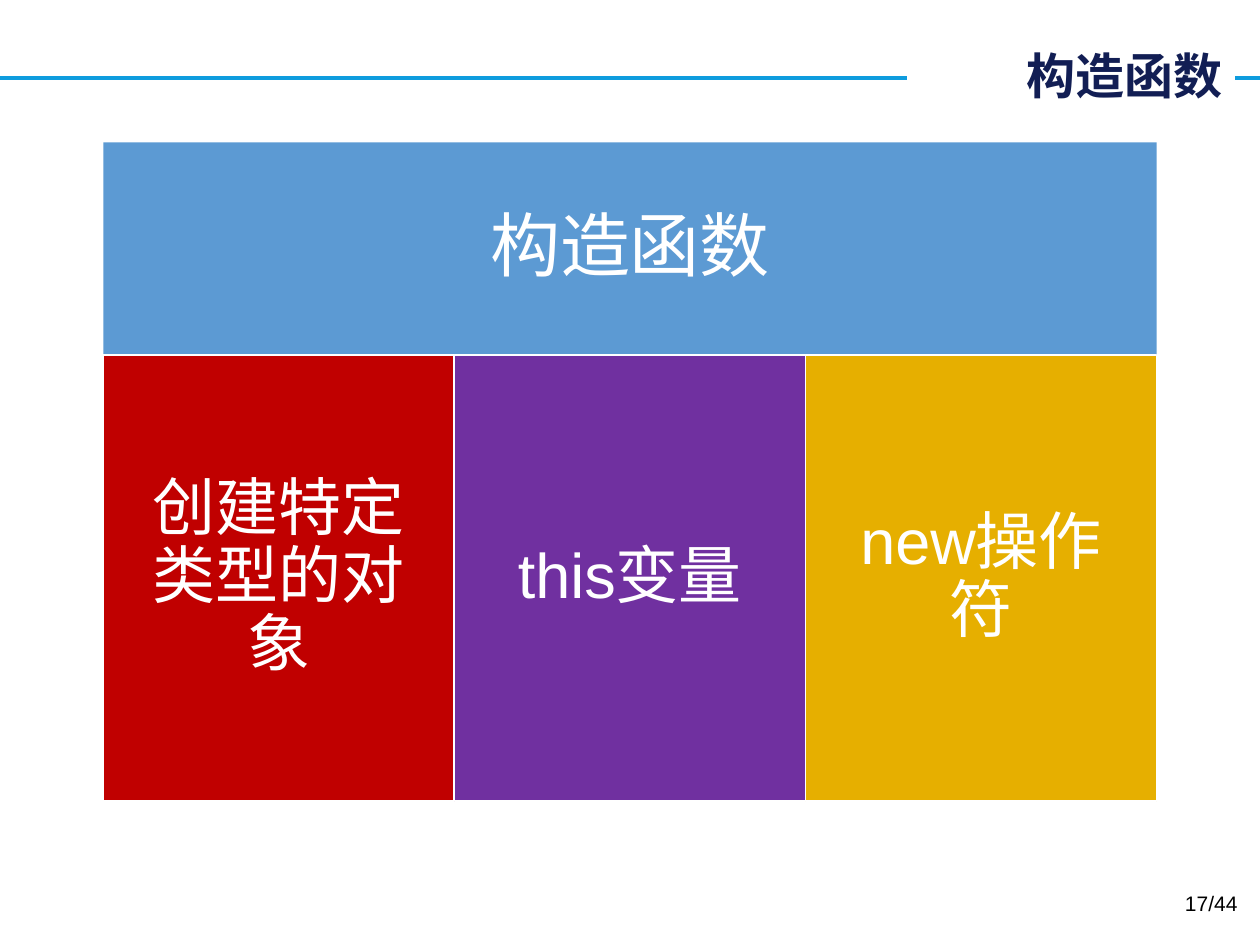
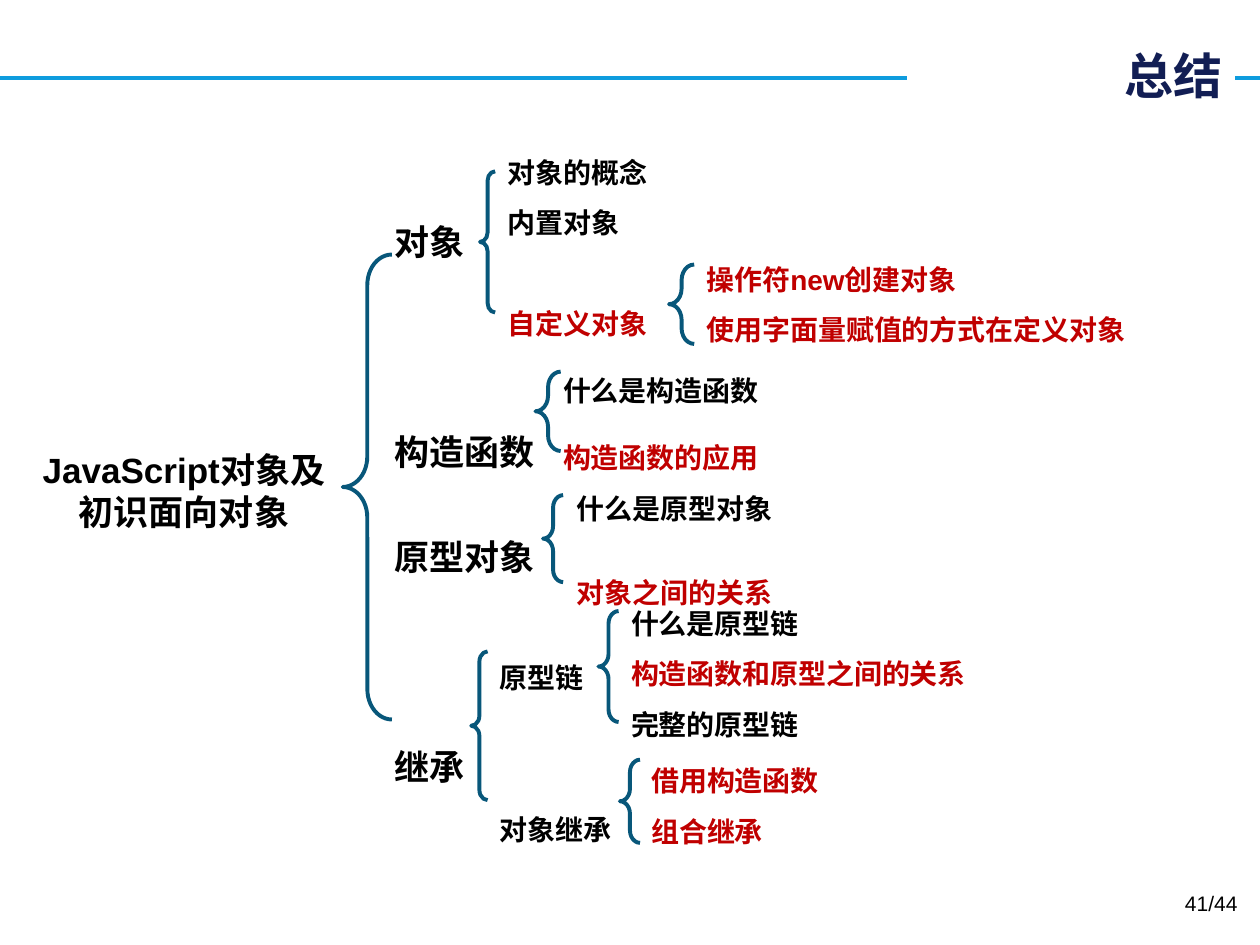
"""Build two lesson slides: the parts of a constructor and a bracketed summary."""
from lxml import etree
from pptx import Presentation
from pptx import util as u
from pptx.dml.color import RGBColor
from pptx.enum import shapes, text
from pptx.oxml import ns

COLUMNS, ROWS = 100, 75
CELL = u.Inches(0.1)
PAGE_TOTAL = 44
LATIN, CJK = "Arial", "Noto Sans CJK SC"
COLOURS = {
    "white": "FFFFFF", "black": "000000", "red": "C00000", "navy": "121E54",
    "rule": "0E9CDE", "brace": "08577A", "blue": "5C9AD3",
    "purple": "7030A0", "gold": "E6AF00",
}
CENTER, RIGHT = text.PP_ALIGN.CENTER, text.PP_ALIGN.RIGHT
GROW = text.MSO_AUTO_SIZE.SHAPE_TO_FIT_TEXT


def colour(name):
    """Return the named colour."""
    return RGBColor.from_string(COLOURS[name])


def grid(*cells):
    """Turn numbers of grid cells into lengths."""
    return [round(cell * CELL) for cell in cells]


def style_paragraph(para, size, tint, bold=False, align=None, spacing=None, latin=LATIN):
    """Format a paragraph and all its runs."""
    para.alignment = align
    para.line_spacing = spacing
    for span in para.runs:
        font = span.font
        font.size, font.bold, font.name = u.Pt(size), bold, latin
        font.color.rgb = colour(tint)
        east_asian = etree.Element(ns.qn("a:ea"), typeface=CJK)
        font._element.find(ns.qn("a:latin")).addnext(east_asian)


def add_text(page, area, lines, size, bold=True, align=None):
    """Add a text box from (wording, colour, line spacing) lines."""
    frame = page.shapes.add_textbox(*grid(*area)).text_frame
    frame.word_wrap = True
    frame.auto_size = GROW
    frame.text = "\n".join(wording for wording, _, _ in lines)
    for para, (_, tint, spacing) in zip(frame.paragraphs, lines):
        style_paragraph(para, size, tint, bold, align, spacing)


def add_brace(page, area):
    """Add an outlined left brace."""
    brace = page.shapes.add_shape(shapes.MSO_SHAPE.LEFT_BRACE, *grid(*area))
    brace.shadow.inherit = False
    brace.adjustments[0] = 0.62
    brace.fill.background()
    brace.line.color.rgb = colour("brace")
    brace.line.width = u.Pt(2.25)


def add_card(page, area, wording, tint, size, inset, outlined=True):
    """Add a filled rectangle with centred white wording."""
    card = page.shapes.add_shape(shapes.MSO_SHAPE.RECTANGLE, *grid(*area))
    card.shadow.inherit = False
    card.fill.solid()
    card.fill.fore_color.rgb = colour(tint)
    if outlined:
        card.line.color.rgb = colour("white")
        card.line.width = u.Pt(1)
    else:
        card.line.fill.background()
    frame = card.text_frame
    frame.word_wrap = True
    frame.vertical_anchor = text.MSO_ANCHOR.MIDDLE
    frame.margin_left = frame.margin_right = u.Inches(inset)
    frame.margin_top = frame.margin_bottom = u.Inches(inset)
    frame.text = wording
    style_paragraph(frame.paragraphs[0], size, "white", align=CENTER, spacing=0.9)


def add_rule(page):
    """Draw the blue rule behind everything else on the page."""
    rule = page.shapes.add_connector(
        shapes.MSO_CONNECTOR.STRAIGHT, *grid(0, 6.2, COLUMNS, 6.2))
    rule.line.color.rgb = colour("rule")
    rule.line.width = u.Pt(2.25)
    etree.SubElement(rule._element.spPr, ns.qn("a:effectLst"))
    page.shapes._spTree.insert(2, rule._element)


def add_page(deck, heading, number):
    """Add a page with the shared rule, title and page number."""
    page = deck.slides.add_slide(deck.slide_layouts[5])
    add_rule(page)
    title = page.shapes.title
    title.left, title.top, title.width, title.height = grid(72, 3.1, 26, 5.7)
    title.fill.solid()
    title.fill.fore_color.rgb = colour("white")
    frame = title.text_frame
    frame.text = heading
    frame.vertical_anchor = text.MSO_ANCHOR.MIDDLE
    frame.auto_size = GROW
    style_paragraph(frame.paragraphs[0], 28, "navy", True, RIGHT, latin=CJK)
    add_text(page, (75.9, 70.2, 23.3, 4), [(f"{number}/{PAGE_TOTAL}", "black", None)],
             12, bold=False, align=RIGHT)
    return page


def build_constructor(deck):
    """Show the constructor above its three features."""
    page = add_page(deck, "构造函数", 17)
    left, top, width, header_height, feature_height = 8.2, 11.3, 83.6, 16.9, 35.4
    add_card(page, (left, top, width, header_height), "构造函数", "blue", 40, 0.27, False)
    features = [("创建特定类型的对象", "red"), ("this变量", "purple"), ("new操作符", "gold")]
    step = width / len(features)
    for index, (wording, tint) in enumerate(features):
        area = (left + index * step, top + header_height, step, feature_height)
        add_card(page, area, wording, tint, 36, 0.23)


def build_summary(deck):
    """Show the lesson's topics as a tree of braces."""
    page = add_page(deck, "总结", 41)
    add_text(page, (1.2, 35.1, 26.8, 7.7),
             [("JavaScript对象及初识面向对象", "black", None)], 20, align=CENTER)
    add_text(page, (30.3, 17, 18.8, 46.4), [
        ("对象", "black", None), ("构造函数", "black", 5),
        ("原型对象", "black", 2.5), ("继承", "black", 5)], 20)
    branches = [
        ((39.3, 10.5, 16.9, 17.2), [
            ("对象的概念", "black", 1.5), ("内置对象", "black", 1.5),
            ("自定义对象", "red", 3)]),
        ((55.1, 19, 35.8, 9.1), [
            ("操作符new创建对象", "red", 1.5),
            ("使用字面量赋值的方式在定义对象", "red", 1.5)]),
        ((43.7, 26.5, 41.2, 11.8), [
            ("什么是构造函数", "black", 2), ("构造函数的应用", "red", 2)]),
        ((44.8, 37.2, 25.6, 11.8), [
            ("什么是原型对象", "black", 1.5), ("对象之间的关系", "red", 2.5)]),
        ((38.7, 49.3, 15.4, 18.5), [
            ("原型链", "black", 2), ("对象继承", "black", 4.5)]),
        ((49.1, 46.3, 33.2, 13.1), [
            ("什么是原型链", "black", 1.5), ("构造函数和原型之间的关系", "red", 1.5),
            ("完整的原型链", "black", 1.5)]),
        ((50.7, 58.8, 33.2, 9.1), [
            ("借用构造函数", "red", 1.5), ("组合继承", "red", 1.5)]),
    ]
    for area, lines in branches:
        add_text(page, area, lines, 16)
    braces = [
        (27.2, 20.2, 3.9, 36.9), (38.1, 13.6, 1.2, 11.2), (53.1, 21, 2, 6.3),
        (42.5, 29.5, 2, 6.3), (43.1, 39.3, 1.6, 6.9), (37.4, 51.7, 1.3, 11.8),
        (47.5, 48.5, 1.6, 8.8), (49.2, 60.3, 1.6, 6.6),
    ]
    for area in braces:
        add_brace(page, area)


def main():
    """Build and save the deck."""
    deck = Presentation()
    deck.slide_width, deck.slide_height = grid(COLUMNS, ROWS)
    build_constructor(deck)
    build_summary(deck)
    deck.save("out.pptx")


if __name__ == "__main__":
    main()
